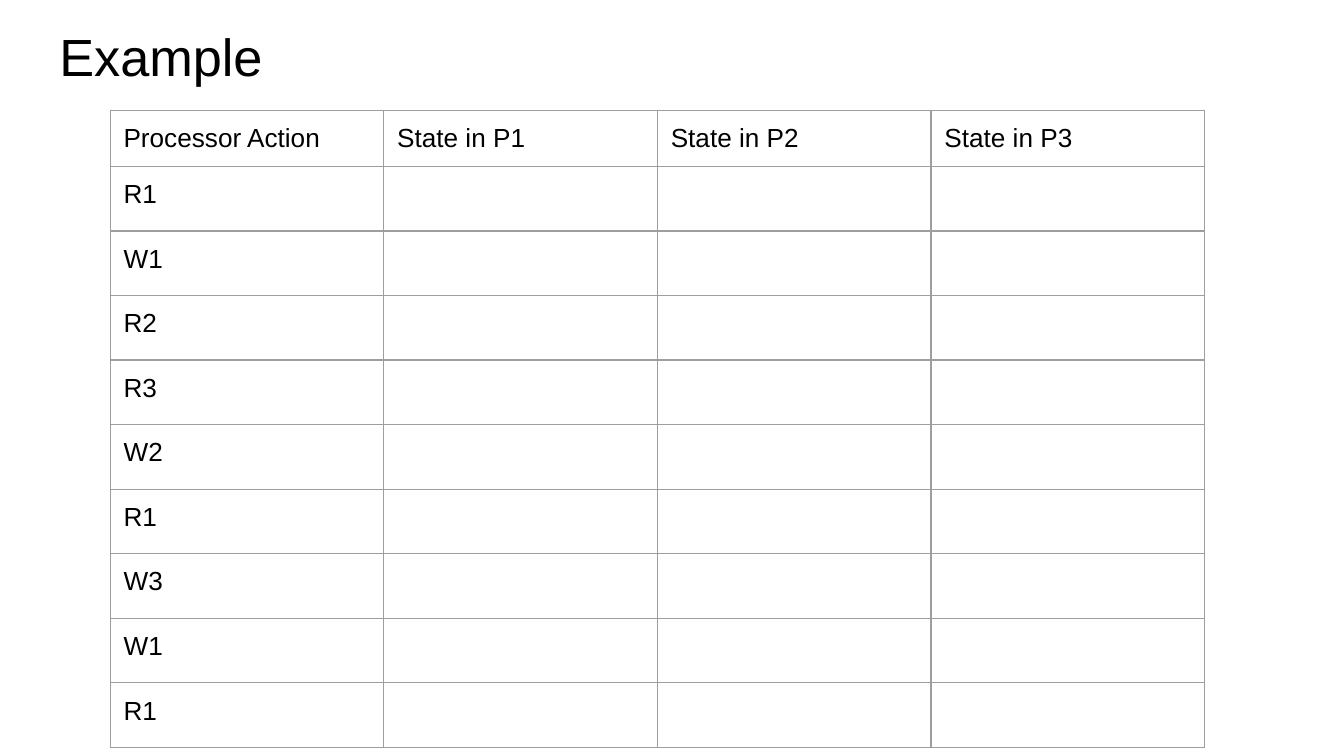
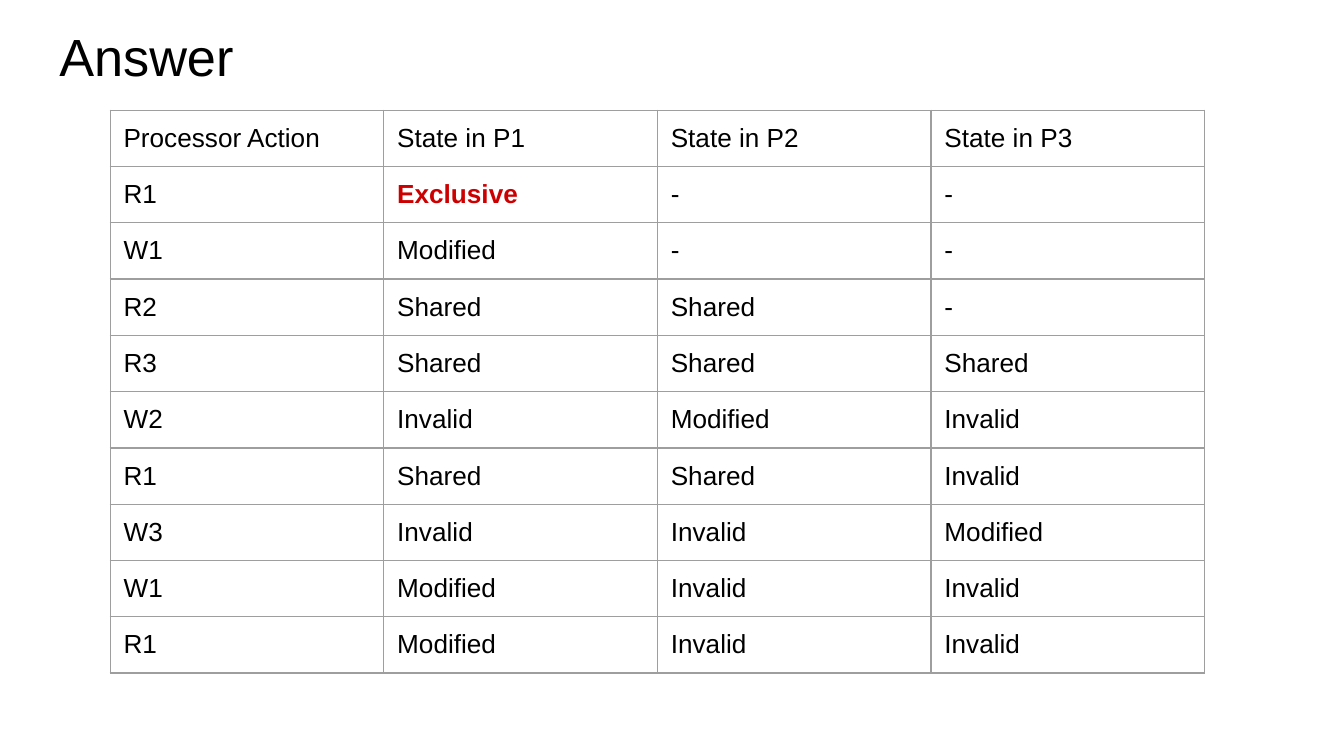
from dataclasses import dataclass

from lxml import etree
from pptx import Presentation
from pptx.dml.color import RGBColor
from pptx.enum.text import MSO_ANCHOR, MSO_AUTO_SIZE, PP_ALIGN
from pptx.oxml.ns import qn
from pptx.util import Pt

TOP = MSO_ANCHOR.TOP
LEFT = PP_ALIGN.LEFT
NO_AUTOFIT = MSO_AUTO_SIZE.NONE


@dataclass(frozen=True)
class Theme:
    font: str = "Arial"
    text: str = "000000"
    highlight: str = "CC0000"
    border: str = "9E9E9E"
    title_size: float = 28
    cell_size: float = 14
    empty_cell_size: float = 18
    border_width: float = 0.75
    inset: float = 7.2


theme = Theme()


def write_text(frame, text, size=theme.cell_size, color=theme.text, bold=False):
    """Put text in a frame; an empty text only sets the height of its line."""
    paragraph = frame.paragraphs[0]
    paragraph.alignment = LEFT
    if not text:
        end_format = paragraph._p.get_or_add_endParaRPr()
        end_format.set("sz", str(int(theme.empty_cell_size * 100)))
        etree.SubElement(end_format, qn("a:latin"), typeface=theme.font)
        return
    run = paragraph.add_run()
    run.text = text
    run.font.name = theme.font
    run.font.size = Pt(size)
    run.font.bold = bold
    run.font.color.rgb = RGBColor.from_string(color)


def format_cell(cell):
    """Give a cell its insets, grey borders and clear background."""
    cell.margin_left = cell.margin_right = Pt(theme.inset)
    cell.margin_top = cell.margin_bottom = Pt(theme.inset)
    cell.vertical_anchor = TOP
    properties = cell._tc.get_or_add_tcPr()
    for side in ("a:lnL", "a:lnR", "a:lnT", "a:lnB"):
        line = etree.SubElement(properties, qn(side), w=str(Pt(theme.border_width)))
        fill = etree.SubElement(line, qn("a:solidFill"))
        etree.SubElement(fill, qn("a:srgbClr"), val=theme.border)
    cell.fill.background()


# Content: the same actions on both slides, with states only in the answer
header = ["Processor Action", "State in P1", "State in P2", "State in P3"]
answers = [
    ["R1", "Exclusive", "-", "-"],
    ["W1", "Modified", "-", "-"],
    ["R2", "Shared", "Shared", "-"],
    ["R3", "Shared", "Shared", "Shared"],
    ["W2", "Invalid", "Modified", "Invalid"],
    ["R1", "Shared", "Shared", "Invalid"],
    ["W3", "Invalid", "Invalid", "Modified"],
    ["W1", "Modified", "Invalid", "Invalid"],
    ["R1", "Modified", "Invalid", "Invalid"],
]
questions = [[action, "", "", ""] for action, *states in answers]

# Presentation
presentation = Presentation()
presentation.slide_width = Pt(720)
presentation.slide_height = Pt(405)
title_only = presentation.slide_layouts[5]
column_width, row_height = 146.6, 27.4

for heading, body in (("Example", questions), ("Answer", answers)):
    slide = presentation.slides.add_slide(title_only)

    # Title
    title = slide.shapes.title
    title.left, title.top = Pt(24.6), Pt(2.9)
    title.width, title.height = Pt(685.4), Pt(46.8)
    frame = title.text_frame
    frame.auto_size = NO_AUTOFIT
    frame.word_wrap = True
    frame.vertical_anchor = TOP
    frame.margin_left = frame.margin_right = frame.margin_bottom = Pt(theme.inset)
    frame.margin_top = Pt(theme.inset + 3)
    write_text(frame, heading, size=theme.title_size)

    # Table of states
    rows = [header, *body]
    table = slide.shapes.add_table(
        len(rows), len(header), Pt(59), Pt(59),
        Pt(column_width * len(header)), Pt(row_height * len(rows)),
    ).table
    table.first_row = table.horz_banding = False
    for column in table.columns:
        column.width = Pt(column_width)
    for table_row, values in zip(table.rows, rows):
        table_row.height = Pt(row_height)
        for cell, value in zip(table_row.cells, values):
            format_cell(cell)
            exclusive = value == "Exclusive"
            color = theme.highlight if exclusive else theme.text
            write_text(cell.text_frame, value, color=color, bold=exclusive)

presentation.save("out.pptx")
